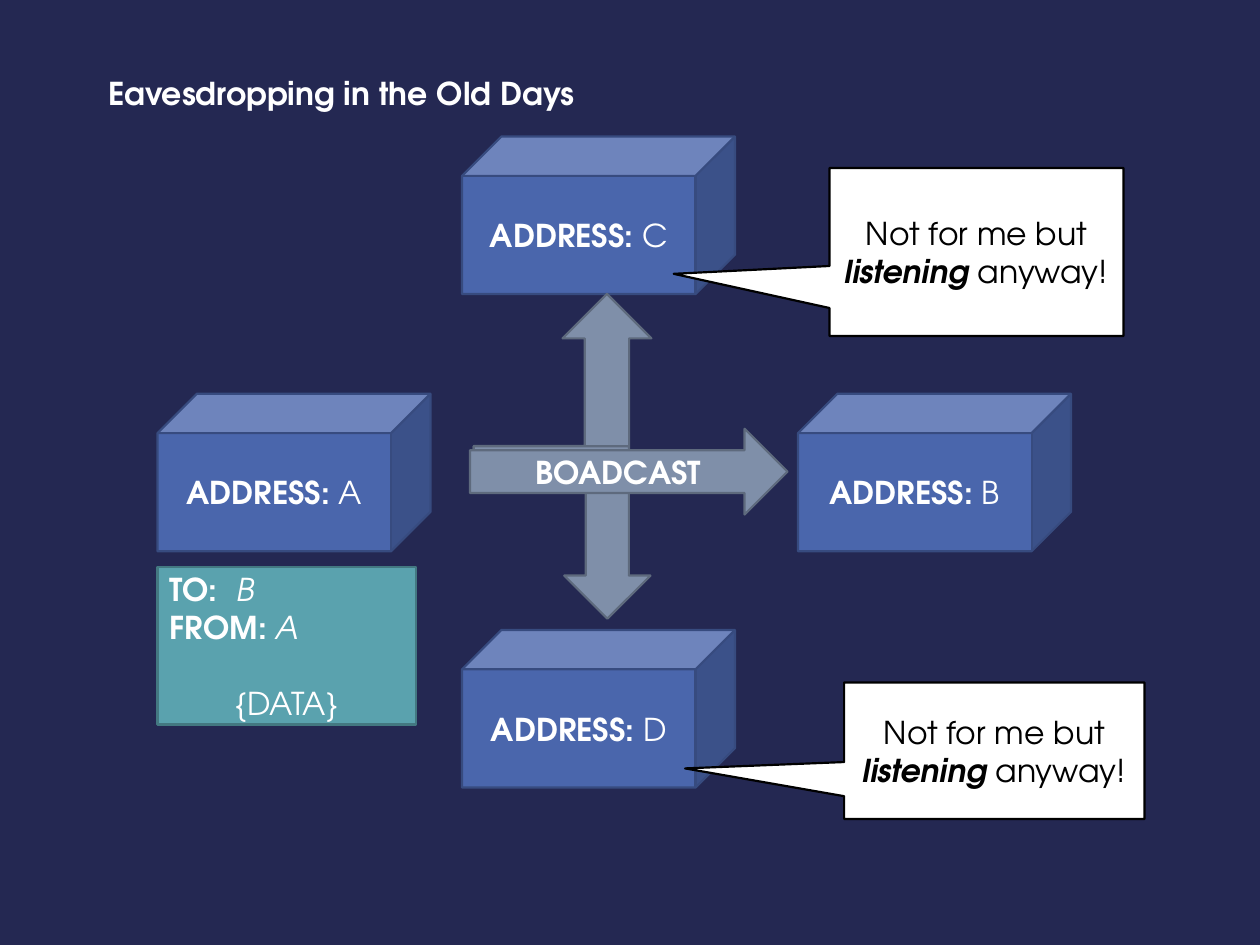
"""Build the slide on eavesdropping in a broadcast network."""
from dataclasses import dataclass

from lxml import etree
from pptx import Presentation
from pptx.dml.color import RGBColor
from pptx.enum.shapes import MSO_SHAPE
from pptx.enum.text import MSO_ANCHOR, MSO_AUTO_SIZE, PP_ALIGN
from pptx.oxml.ns import qn
from pptx.shapes.autoshape import Shape
from pptx.slide import Slide
from pptx.text.text import TextFrame
from pptx.util import Pt

CUBE, RECT = MSO_SHAPE.CUBE, MSO_SHAPE.RECTANGLE
BENT_ARROW, RIGHT_ARROW = MSO_SHAPE.BENT_UP_ARROW, MSO_SHAPE.RIGHT_ARROW
CALLOUT = MSO_SHAPE.RECTANGULAR_CALLOUT
LEFT, CENTER = PP_ALIGN.LEFT, PP_ALIGN.CENTER
MIDDLE = MSO_ANCHOR.MIDDLE
FIT_SHAPE = MSO_AUTO_SIZE.SHAPE_TO_FIT_TEXT

FONT = "TeX Gyre Adventor"
FONT_SIZE = Pt(18)
LINE_GAP = Pt(21.7)
VALUE_TAB = Pt(38)
NAVY = RGBColor(0x24, 0x28, 0x52)
WHITE = RGBColor(0xFF, 0xFF, 0xFF)
BLACK = RGBColor(0x00, 0x00, 0x00)
BLUE = RGBColor(0x4A, 0x66, 0xAC)
DARK_BLUE = RGBColor(0x37, 0x4B, 0x7F)
GRAY = RGBColor(0x7F, 0x8F, 0xA9)
DARK_GRAY = RGBColor(0x5E, 0x6A, 0x7D)
TEAL = RGBColor(0x5A, 0xA2, 0xAE)
DARK_TEAL = RGBColor(0x43, 0x78, 0x81)


@dataclass(frozen=True)
class Box:
    """Position and size in points."""
    left: float
    top: float
    width: float
    height: float


@dataclass(frozen=True)
class Style:
    """Fill, outline and text colours."""
    fill: RGBColor
    line: RGBColor
    text: RGBColor = WHITE


@dataclass(frozen=True)
class Span:
    """A stretch of text with one format."""
    text: str
    bold: bool = False
    italic: bool = False


@dataclass(frozen=True)
class Para:
    """A line of spans with its alignment."""
    spans: tuple[Span, ...]
    align: PP_ALIGN = CENTER


@dataclass(frozen=True)
class Host:
    """A network host and its place."""
    name: str
    left: float
    top: float


HOST_STYLE = Style(BLUE, DARK_BLUE)
ARROW_STYLE = Style(GRAY, DARK_GRAY)
PACKET_STYLE = Style(TEAL, DARK_TEAL)
CALLOUT_STYLE = Style(WHITE, BLACK, BLACK)
HOSTS = (
    Host("A", 90, 225),
    Host("B", 456, 225),
    Host("D", 264, 360),
    Host("C", 264, 78),
)
CALLOUTS = (Box(474, 96, 168, 96), Box(482.4, 390, 171.6, 78))
REMARK = Para((Span("Not for me but "), Span("listening", True, True),
               Span(" anyway!")))
PACKET = (
    Para((Span("TO:\t", True), Span("B", italic=True)), LEFT),
    Para((Span("FROM: ", True), Span("A", italic=True)), LEFT),
    Para((Span("{DATA}"),)),
)


def write(tf: TextFrame, paras: tuple[Para, ...], color: RGBColor) -> None:
    """Fill a text frame with formatted paragraphs."""
    for i, para in enumerate(paras):
        p = tf.paragraphs[0] if i == 0 else tf.add_paragraph()
        p.alignment = para.align
        p.text = para.spans[0].text
        for span in para.spans[1:]:
            p.add_run().text = span.text
        for r, span in zip(p.runs, para.spans):
            r.font.name, r.font.size = FONT, FONT_SIZE
            r.font.bold, r.font.italic = span.bold, span.italic
            r.font.color.rgb = color


def draw(s: Slide, kind: MSO_SHAPE, box: Box, style: Style,
         paras: tuple[Para, ...] = ()) -> Shape:
    """Draw a preset shape with optional text."""
    sp = s.shapes.add_shape(kind, Pt(box.left), Pt(box.top),
                            Pt(box.width), Pt(box.height))
    sp.shadow.inherit = False
    sp.fill.solid()
    sp.fill.fore_color.rgb = style.fill
    sp.line.color.rgb = style.line
    sp.line.width = Pt(1.25)
    tf = sp.text_frame
    tf.word_wrap = True
    tf.vertical_anchor = MIDDLE
    write(tf, paras, style.text)
    return sp


def draw_title(s: Slide) -> None:
    """Draw the slide heading."""
    sp = s.shapes.add_textbox(Pt(54.7), Pt(39), Pt(285), Pt(29))
    tf = sp.text_frame
    tf.word_wrap = False
    tf.auto_size = FIT_SHAPE
    title = Para((Span("Eavesdropping in the Old Days", True),), LEFT)
    write(tf, (title,), WHITE)


def draw_packet(s: Slide) -> None:
    """Draw the data packet below its sender."""
    sp = draw(s, RECT, Box(90, 324, 147.6, 90), PACKET_STYLE, PACKET)
    to_line, _, data_line = sp.text_frame.paragraphs
    data_line.space_before = LINE_GAP
    tabs = etree.SubElement(to_line._p.get_or_add_pPr(), qn("a:tabLst"))
    etree.SubElement(tabs, qn("a:tab"), pos=str(int(VALUE_TAB)), algn="l")


def draw_broadcast(s: Slide) -> None:
    """Draw the arrows to the three other hosts."""
    draw(s, BENT_ARROW, Box(270.7, 168, 101.5, 112.3), ARROW_STYLE)
    down = draw(s, BENT_ARROW, Box(270.7, 255, 101, 98.6), ARROW_STYLE)
    down._element.spPr.find(qn("a:xfrm")).set("flipV", "1")
    label = Para((Span("BOADCAST", True),))
    draw(s, RIGHT_ARROW, Box(268.6, 245, 181.4, 49), ARROW_STYLE, (label,))


def main() -> None:
    """Build and save the presentation."""
    prs = Presentation()
    prs.slide_width, prs.slide_height = Pt(720), Pt(540)
    s = prs.slides.add_slide(prs.slide_layouts[6])
    s.background.fill.solid()
    s.background.fill.fore_color.rgb = NAVY
    for host in HOSTS:
        label = Para((Span("ADDRESS:", True), Span(f" {host.name}")))
        draw(s, CUBE, Box(host.left, host.top, 156, 90), HOST_STYLE, (label,))
    draw_broadcast(s)
    draw_packet(s)
    for box in CALLOUTS:
        sp = draw(s, CALLOUT, box, CALLOUT_STYLE, (REMARK,))
        sp.adjustments[0], sp.adjustments[1] = -1.03, 0.13
    draw_title(s)
    prs.save("out.pptx")


if __name__ == "__main__":
    main()
